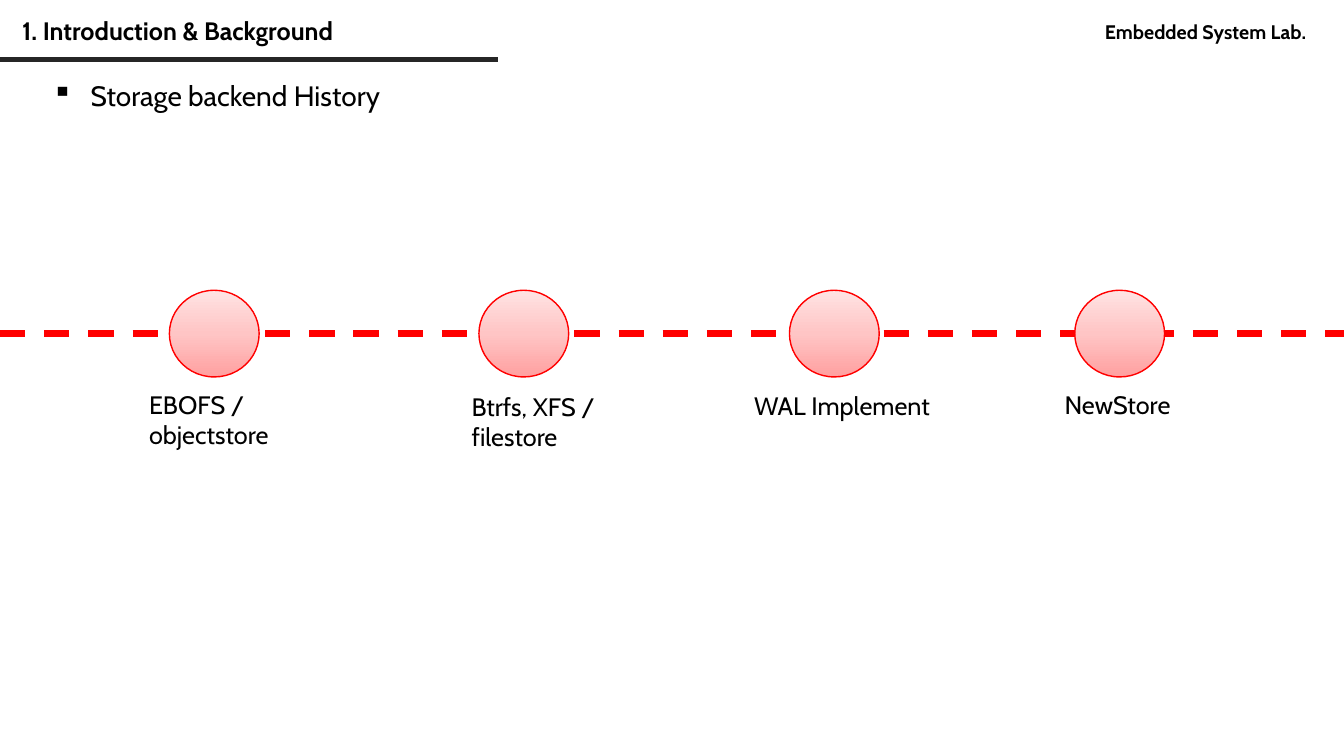
from copy import deepcopy

from lxml import etree
from pptx import Presentation
from pptx.dml.color import RGBColor
from pptx.enum.dml import MSO_LINE_DASH_STYLE as DASH
from pptx.enum.shapes import MSO_CONNECTOR as CONNECTOR, MSO_SHAPE as SHAPE
from pptx.enum.text import MSO_ANCHOR as ANCHOR, MSO_AUTO_SIZE as AUTO_SIZE
from pptx.oxml.ns import qn
from pptx.util import Inches, Pt

SLIDE_WIDTH, SLIDE_HEIGHT = 13.33, 7.5
TIMELINE_Y = 3.31
MILESTONE_SIZE = (0.89, 0.86)

# circle left, label text, label box (left, top, width, height)
MILESTONES = [
    (1.68, "EBOFS / objectstore", (1.38, 3.81, 1.48, 0.71)),
    (4.75, "Btrfs, XFS / filestore", (4.58, 3.83, 1.48, 0.71)),
    (7.83, "WAL Implement", (7.38, 3.82, 2.09, 0.4)),
    (10.66, "NewStore", (10.46, 3.81, 1.48, 0.4)),
]


def color(hex_string):
    return RGBColor.from_string(hex_string)


class TimelineSlide:
    font_name = "Cabin"
    text_color = "000000"
    rule_color = "262626"
    accent = "FF0000"
    gradient = [(0, "FFA0A0"), (0.5, "FFC5C5"), (1, "FFE3E3")]

    def __init__(self, slide):
        self.slide = slide

    def line(self, start, end, line_color, width, dash=None):
        connector = self.slide.shapes.add_connector(
            CONNECTOR.STRAIGHT, *map(Inches, start + end))
        connector.line.color.rgb = color(line_color)
        connector.line.width = Pt(width)
        if dash:
            connector.line.dash_style = dash
        properties = connector._element.spPr
        etree.SubElement(properties, qn("a:effectLst"))

    def text(self, box, content, size=18, bold=False, anchor=ANCHOR.TOP,
             auto_size=AUTO_SIZE.SHAPE_TO_FIT_TEXT, line_spacing=None):
        frame = self.slide.shapes.add_textbox(*map(Inches, box)).text_frame
        frame_format = {"word_wrap": True, "auto_size": auto_size,
                        "vertical_anchor": anchor}
        for name, value in frame_format.items():
            setattr(frame, name, value)
        paragraph = frame.paragraphs[0]
        paragraph.line_spacing = line_spacing
        run = paragraph.add_run()
        run.text = content
        font_format = {"name": self.font_name, "size": Pt(size), "bold": bold}
        for name, value in font_format.items():
            setattr(run.font, name, value)
        run.font.color.rgb = color(self.text_color)
        return paragraph

    def bullet(self, box, content, size, indent=0.38):
        paragraph = self.text(box, content, size)
        properties = paragraph._p.get_or_add_pPr()
        properties.set("marL", str(Inches(indent)))
        properties.set("indent", str(-Inches(indent)))
        etree.SubElement(properties, qn("a:buChar"), char="▪")

    def milestone(self, left, top, width, height):
        """Add a circle whose gradient runs from bottom to top."""
        circle = self.slide.shapes.add_shape(
            SHAPE.OVAL, *map(Inches, (left, top, width, height)))
        circle.shadow.inherit = False
        circle.line.color.rgb = color(self.accent)
        circle.line.width = Pt(1)
        circle.fill.gradient()
        circle.fill.gradient_angle = 90
        stop_list = circle._element.spPr.find(qn("a:gradFill")).gsLst
        stop_list.append(deepcopy(stop_list[-1]))
        for stop, (position, stop_color) in zip(circle.fill.gradient_stops,
                                                self.gradient):
            stop.position = position
            stop.color.rgb = color(stop_color)


def main():
    presentation = Presentation()
    presentation.slide_width = Inches(SLIDE_WIDTH)
    presentation.slide_height = Inches(SLIDE_HEIGHT)
    blank_layout = presentation.slide_layouts[6]
    page = TimelineSlide(presentation.slides.add_slide(blank_layout))

    page.line((0, 0.59), (4.94, 0.59), page.rule_color, 3)
    page.text((10.86, 0.15, 2.49, 0.34), "Embedded System Lab.", 14, bold=True)
    page.text((0.12, 0.12, 9.71, 0.4), "1. Introduction & Background",
              bold=True, anchor=ANCHOR.MIDDLE, auto_size=AUTO_SIZE.NONE,
              line_spacing=0.9)
    page.bullet((0.42, 0.73, 12.03, 0.44), "Storage backend History", 20)

    page.line((0, TIMELINE_Y), (SLIDE_WIDTH, TIMELINE_Y), page.accent, 4.5,
              DASH.DASH)
    width, height = MILESTONE_SIZE
    for left, label, label_box in MILESTONES:
        page.milestone(left, TIMELINE_Y - height / 2, width, height)
        page.text(label_box, label)

    presentation.save("out.pptx")


if __name__ == "__main__":
    main()
